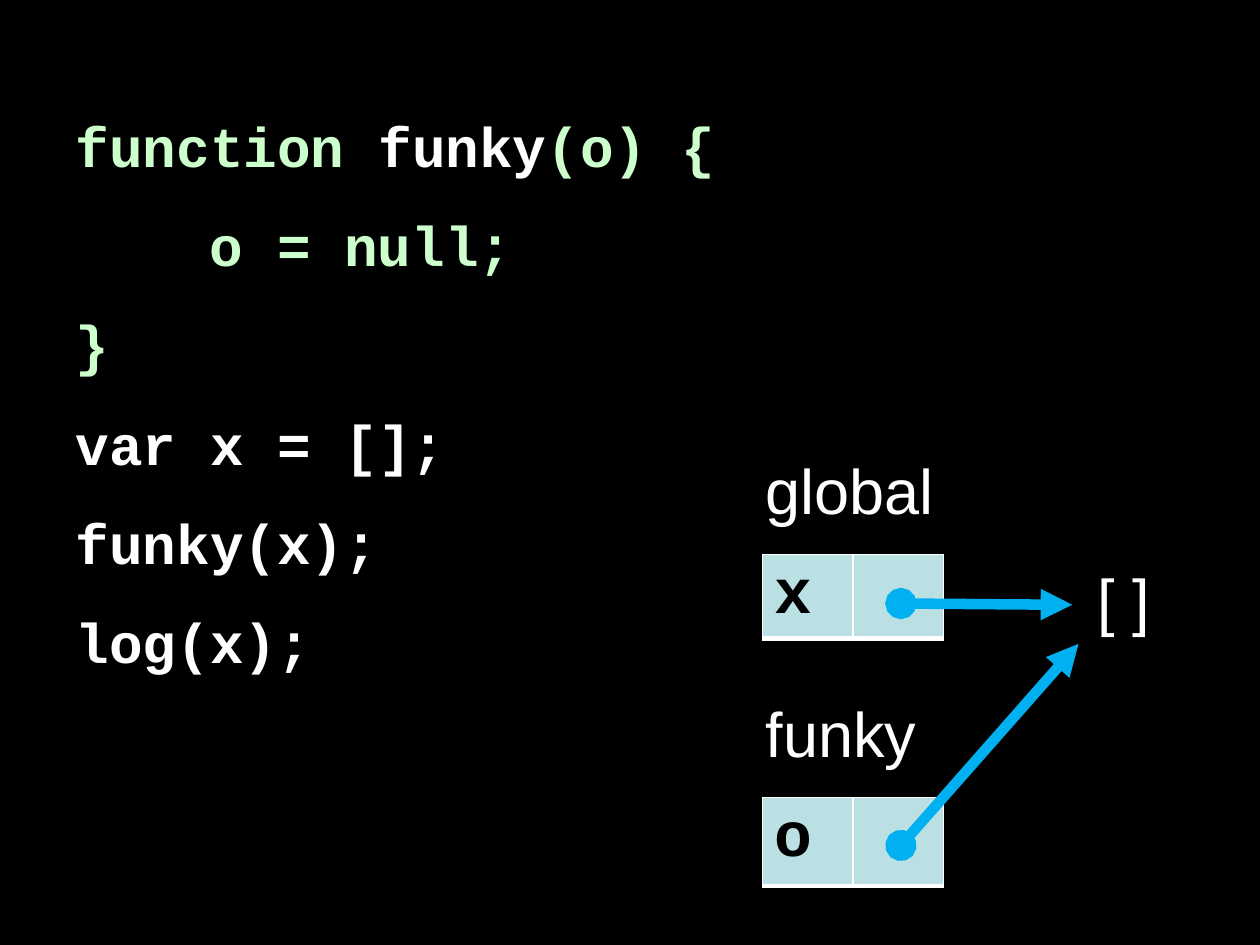
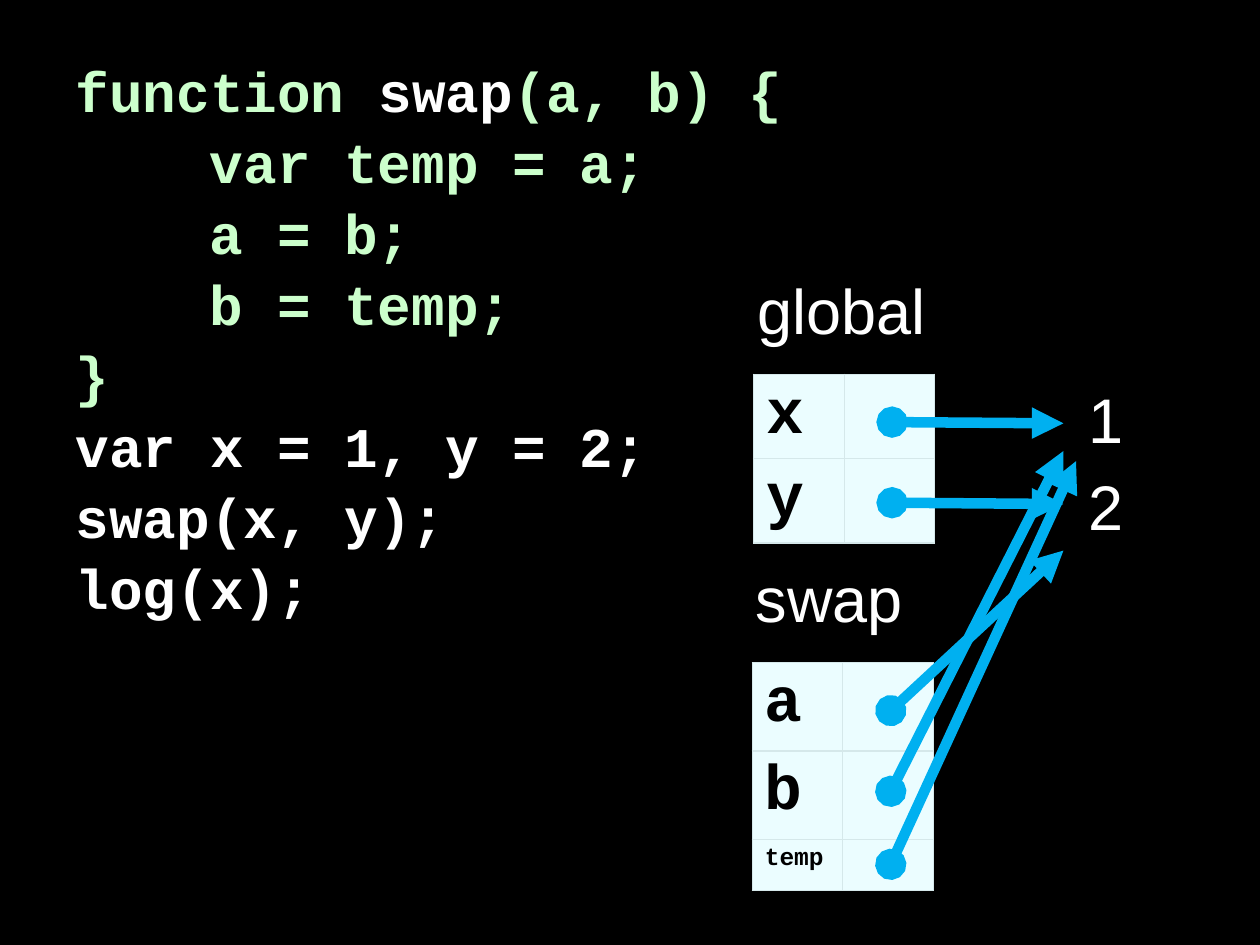
from dataclasses import dataclass

from lxml.etree import SubElement
from pptx import Presentation
from pptx.dml.color import RGBColor
from pptx.enum.shapes import MSO_CONNECTOR
from pptx.enum.text import MSO_ANCHOR, MSO_AUTO_SIZE
from pptx.oxml.ns import qn
from pptx.presentation import Presentation as Deck
from pptx.slide import Slide
from pptx.table import _Cell as Cell
from pptx.text.text import _Paragraph as Paragraph
from pptx.util import Inches, Pt

COLORS = {
    "background": "000000",
    "plain": "FFFFFF",
    "function": "CCFFCC",
    "variable": "000000",
    "arrow": "00B0F0",
    "teal_cell": "BBE0E3",
    "pale_cell": "EBFDFF",
    "pale_border": "D5E8EA",
}
CODE_FONT = "Courier New"
LABEL_FONT = "Arial"
CODE_SIZE = 32
LABEL_SIZE = 36
CODE_INDENT = Pt(4 * 0.6 * CODE_SIZE)

SLIDE_WIDTH = Inches(10)
SLIDE_HEIGHT = Inches(7.5)
COLUMN = SLIDE_WIDTH / 100
ROW = SLIDE_HEIGHT / 75
CELL_COLUMNS = 7.2
LABEL_ROWS = 7.1
HEADING_RISE = 8.65
DOT_COLUMNS = 11


@dataclass(frozen=True)
class CodeLine:
    runs: tuple[tuple[str, str], ...]
    indented: bool = False


@dataclass(frozen=True)
class CodeStyle:
    anchor: MSO_ANCHOR
    margin_top: float
    space_before: float
    space_after: float


@dataclass(frozen=True)
class CellStyle:
    fill: str
    border: str
    side_width: float
    bottom_width: float


@dataclass(frozen=True)
class Variable:
    name: str
    target: tuple[float, float]
    dot_row: float
    height: float = 6.7
    size: int = LABEL_SIZE


@dataclass(frozen=True)
class Frame:
    name: str
    left: float
    top: float
    variables: tuple[Variable, ...]


@dataclass(frozen=True)
class Value:
    text: str
    left: float
    top: float


@dataclass(frozen=True)
class Scene:
    code: tuple[CodeLine, ...]
    code_style: CodeStyle
    cell_style: CellStyle
    frames: tuple[Frame, ...]
    values: tuple[Value, ...]


def columns(count: float) -> int:
    return round(count * COLUMN)


def rows(count: float) -> int:
    return round(count * ROW)


def color(name: str) -> RGBColor:
    return RGBColor.from_string(COLORS[name])


def header(name: str, parameters: str) -> CodeLine:
    return CodeLine((("function ", "function"), (name, "plain"), (f"({parameters}) {{", "function")))


def inner(text: str) -> CodeLine:
    return CodeLine(((text, "function"),), indented=True)


def plain(text: str) -> CodeLine:
    return CodeLine(((text, "plain"),))


CLOSING = CodeLine((("}", "function"),))

SCENES = (
    Scene(
        code=(
            header("funky", "o"),
            inner("o = null;"),
            CLOSING,
            plain("var x = [];"),
            plain("funky(x);"),
            plain("log(x);"),
        ),
        code_style=CodeStyle(MSO_ANCHOR.MIDDLE, 3.6, 10.9, 7.25),
        cell_style=CellStyle("teal_cell", "plain", 1, 3),
        frames=(
            Frame("global", 60.5, 44, (Variable("x", (85.1, 48), 3.9),)),
            Frame("funky", 60.5, 63.3, (Variable("o", (85.6, 51.1), 3.8, height=7),)),
        ),
        values=(Value("[ ]", 86.1, 44.1),),
    ),
    Scene(
        code=(
            header("swap", "a, b"),
            inner("var temp = a;"),
            inner("a = b;"),
            inner("b = temp;"),
            CLOSING,
            plain("var x = 1, y = 2;"),
            plain("swap(x, y);"),
            plain("log(x);"),
        ),
        code_style=CodeStyle(MSO_ANCHOR.TOP, 8.75, 2.1, 0),
        cell_style=CellStyle("pale_cell", "pale_border", 0.75, 0.75),
        frames=(
            Frame("global", 59.8, 29.7, (
                Variable("x", (84.4, 33.6), 3.8),
                Variable("y", (84.4, 40), 10.2),
            )),
            Frame("swap", 59.7, 52.6, (
                Variable("a", (84.4, 43.7), 3.8, height=7),
                Variable("b", (84.4, 35.8), 10.2, height=7),
                Variable("temp", (85.4, 36.6), 16, height=4.1, size=14),
            )),
        ),
        values=(Value("1", 85.4, 29.7), Value("2", 85.4, 36.6)),
    ),
)


def add_run(paragraph: Paragraph, text: str, font: str, size: float, color_name: str, bold: bool) -> None:
    run = paragraph.add_run()
    run.text = text
    run.font.name = font
    run.font.size = Pt(size)
    run.font.bold = bold
    run.font.color.rgb = color(color_name)


def add_code(slide: Slide, lines: tuple[CodeLine, ...], style: CodeStyle) -> None:
    body = slide.placeholders[1]
    body.left, body.top = columns(5), rows(3.3)
    body.width, body.height = columns(90), rows(55.8)
    text_frame = body.text_frame
    text_frame.word_wrap = True
    text_frame.auto_size = MSO_AUTO_SIZE.NONE
    text_frame.vertical_anchor = style.anchor
    text_frame.margin_top = Pt(style.margin_top)
    for index, line in enumerate(lines):
        paragraph = text_frame.add_paragraph() if index else text_frame.paragraphs[0]
        paragraph.space_before = Pt(style.space_before)
        paragraph.space_after = Pt(style.space_after)
        properties = paragraph._p.get_or_add_pPr()
        properties.set("marL", str(CODE_INDENT if line.indented else 0))
        properties.set("indent", "0")
        SubElement(properties, qn("a:buNone"))
        for text, color_name in line.runs:
            add_run(paragraph, text, CODE_FONT, CODE_SIZE, color_name, True)


def add_label(slide: Slide, text: str, left: float, top: float, width: float) -> None:
    box = slide.shapes.add_textbox(columns(left), rows(top), columns(width), rows(LABEL_ROWS))
    box.text_frame.word_wrap = True
    add_run(box.text_frame.paragraphs[0], text, LABEL_FONT, LABEL_SIZE, "plain", False)


def style_cell(cell: Cell, style: CellStyle) -> None:
    properties = cell._tc.get_or_add_tcPr()
    for side in ("L", "R", "T", "B"):
        width = style.bottom_width if side == "B" else style.side_width
        border = SubElement(properties, qn(f"a:ln{side}"), w=str(Pt(width)))
        border_fill = SubElement(border, qn("a:solidFill"))
        SubElement(border_fill, qn("a:srgbClr"), val=COLORS[style.border])
    cell.fill.solid()
    cell.fill.fore_color.rgb = color(style.fill)


def add_frame(slide: Slide, frame: Frame, style: CellStyle) -> None:
    height = sum(variable.height for variable in frame.variables)
    table = slide.shapes.add_table(
        len(frame.variables), 2, columns(frame.left), rows(frame.top),
        columns(2 * CELL_COLUMNS), rows(height),
    ).table
    table.first_row = False
    table.horz_banding = False
    for table_row, variable in zip(table.rows, frame.variables):
        table_row.height = rows(variable.height)
        for cell in table_row.cells:
            style_cell(cell, style)
        add_run(table_row.cells[0].text_frame.paragraphs[0], variable.name,
                CODE_FONT, variable.size, "variable", True)
    add_label(slide, frame.name, frame.left - 0.7, frame.top - HEADING_RISE, 24.2)


def add_arrow(slide: Slide, frame: Frame, variable: Variable) -> None:
    target_column, target_row = variable.target
    connector = slide.shapes.add_connector(
        MSO_CONNECTOR.STRAIGHT,
        columns(frame.left + DOT_COLUMNS), rows(frame.top + variable.dot_row),
        columns(target_column), rows(target_row),
    )
    connector.line.color.rgb = color("arrow")
    connector.line.width = Pt(6)
    line = connector.line._get_or_add_ln()
    SubElement(line, qn("a:headEnd"), type="oval")
    SubElement(line, qn("a:tailEnd"), type="triangle")
    SubElement(connector._element.spPr, qn("a:effectLst"))


def add_scene(presentation: Deck, scene: Scene) -> None:
    slide = presentation.slides.add_slide(presentation.slide_layouts[1])
    title = slide.shapes.title._element
    title.getparent().remove(title)
    add_code(slide, scene.code, scene.code_style)
    for frame in scene.frames:
        add_frame(slide, frame, scene.cell_style)
    for value in scene.values:
        add_label(slide, value.text, value.left, value.top, 9.2)
    for frame in scene.frames:
        for variable in frame.variables:
            add_arrow(slide, frame, variable)


def main() -> None:
    presentation = Presentation()
    presentation.slide_width = SLIDE_WIDTH
    presentation.slide_height = SLIDE_HEIGHT
    background = presentation.slide_master.background.fill
    background.solid()
    background.fore_color.rgb = color("background")
    for scene in SCENES:
        add_scene(presentation, scene)
    presentation.save("out.pptx")


if __name__ == "__main__":
    main()
